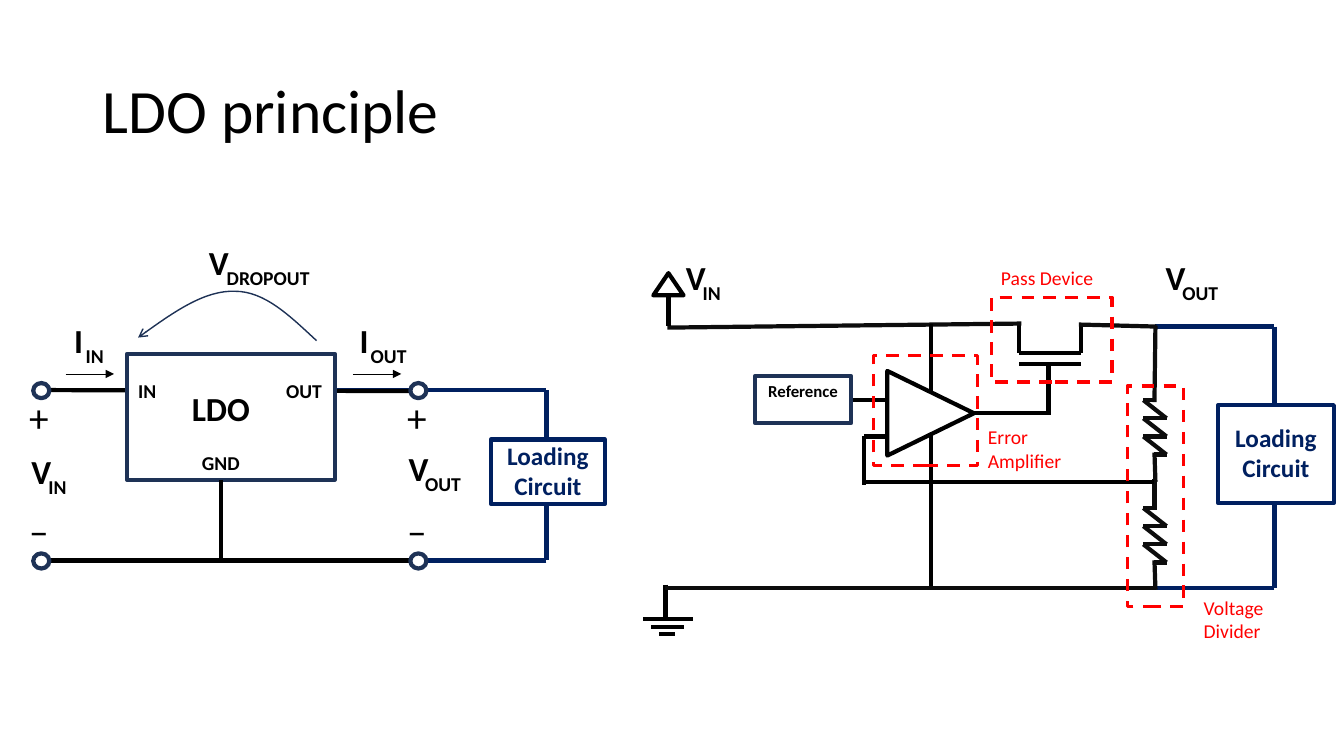
from lxml.etree import SubElement
from pptx import Presentation
from pptx.dml.color import RGBColor
from pptx.enum.dml import MSO_LINE as Dash
from pptx.enum.shapes import MSO_CONNECTOR as Wire, MSO_SHAPE as Form
from pptx.enum.text import MSO_ANCHOR as Anchor, PP_ALIGN as Align
from pptx.oxml.ns import qn
from pptx.util import Pt

PX = 9144
BLACK, INK, NAVY, STEEL, RED, WHITE = "000000", "0D0D0D", "002060", "1E3256", "FF0000", "FFFFFF"


def emu(*sizes):
    """Turn px lengths into EMU."""
    return [size * PX for size in sizes]


def paint(part, tone):
    """Give a font, fill or line a solid hex colour."""
    fill = part if hasattr(part, "solid") else part.fill
    fill.solid()
    fill.fore_color.rgb = RGBColor.from_string(tone)


def stroke(shape, tone, width, head=None):
    """Set the outline of a shape and its optional arrowhead."""
    paint(shape.line, tone)
    shape.line.width = Pt(width)
    if head:
        SubElement(shape.line._get_or_add_ln(), qn("a:tailEnd"), type=head)


def wire(slide, x1, y1, x2, y2, tone=BLACK, width=3, head=None):
    """Draw a straight line."""
    line = slide.shapes.add_connector(Wire.STRAIGHT, *emu(x1, y1, x2, y2))
    stroke(line, tone, width, head)
    SubElement(line._element.spPr, qn("a:effectLst"))


def wires(slide, rows, tone=BLACK):
    """Draw a list of lines in one colour."""
    for row in rows:
        wire(slide, *row, tone)


def block(slide, form, spot, tone, turn=0):
    """Draw a white shape with a thick outline."""
    shape = slide.shapes.add_shape(form, *emu(*spot))
    shape.shadow.inherit = False
    shape.rotation = turn
    paint(shape.fill, WHITE)
    stroke(shape, tone, 3)
    return shape


def frame(slide, *spot):
    """Draw a dashed red frame."""
    shape = block(slide, Form.RECTANGLE, spot, RED)
    shape.fill.background()
    shape.line.width = Pt(2.25)
    shape.line.dash_style = Dash.DASH


def label(slide, spot, text, size, bold=True, tone=BLACK, align=Align.CENTER):
    """Write a text box, with a line break at each newline."""
    body = slide.shapes.add_textbox(*emu(*spot)).text_frame
    body.word_wrap = True
    para = body.paragraphs[0]
    para.alignment = align
    for count, part in enumerate(text.split("\n")):
        if count:
            para.add_line_break()
        run = para.add_run()
        run.text = part
        run.font.name, run.font.size, run.font.bold = "Calibri", Pt(size), bold
        paint(run.font, tone)
    return body


def symbol(slide, x, y, main, sub, width):
    """Write a letter with its subscript."""
    label(slide, (x, y, 82, 50), main, 24)
    label(slide, (x + 37, y + 24, width, 34), sub, 14)


def load(slide, left, right, top, base, box, drop, height):
    """Draw the loading circuit and its loop."""
    wires(slide, [(right, top, right, base), (right, base, left, base), (right, top, left, top)], NAVY)
    block(slide, Form.RECTANGLE, box, NAVY)
    x, y, width, _ = box
    label(slide, (x, y + drop, width, height), "Loading\nCircuit", 18, tone=NAVY)


def zigzag(slide, y):
    """Draw a resistor with its lower lead."""
    wire(slide, 1134, y, 1146, y, INK)
    for low in range(y + 18, y + 55, 18):
        start = 1145 if low == y + 54 else 1134
        wires(slide, [(1134, low - 18, 1157, low), (start, low, 1157, low)], INK)
    wire(slide, 1145, y + 52, 1146, y + 81, INK)


def curve(slide, points):
    """Draw a curved arrow through cubic control points."""
    pen = slide.shapes.build_freeform(*points[0], scale=PX)
    pen.add_line_segments(points[1:], close=False)
    shape = pen.convert_to_shape()
    shape.shadow.inherit = False
    shape.fill.background()
    stroke(shape, STEEL, 1, "arrow")
    steps = list(shape._element.iter(qn("a:lnTo")))
    track = steps[0].getparent()
    for first in range(0, len(steps), 3):
        bend = SubElement(track, qn("a:cubicBezTo"))
        for step in steps[first:first + 3]:
            bend.append(step[0])
            track.remove(step)


def model(slide):
    """Draw the LDO block with its ports on the left."""
    load(slide, 293, 542, 387, 556, (487, 436, 113, 64), -4, 71)
    wires(slide, [(415, 388, 41, 387), (415, 556, 41, 556)])
    block(slide, Form.RECTANGLE, (126, 351, 206, 125), STEEL)
    wire(slide, 219, 476, 219, 556)
    for x in (33, 407):
        for y in (380, 549):
            block(slide, Form.OVAL, (x, y, 16, 15), STEEL)
    for x, y, width, text in ((178, 442, 82, "GND"), (273, 371, 57, "OUT"), (126, 371, 40, "IN")):
        label(slide, (x, y, width, 34), text, 14)
    label(slide, (178, 380, 82, 50), "LDO", 24)
    for x in (19, 394):
        for y, sign in ((385, "+"), (497, "–")):
            label(slide, (x, y, 36, 57), sign, 28, False, align=Align.LEFT)
    for x in (65, 350):
        wire(slide, x, 371, x + 48, 371, width=0.5, head="triangle")
    symbol(slide, 374, 439, "V", "OUT", 57)
    symbol(slide, 0, 442, "V", "IN", 40)
    symbol(slide, 320, 312, "I", "OUT", 57)
    symbol(slide, 37, 312, "I", "IN", 40)
    curve(slide, [(314, 338), (288, 314), (263, 289), (233, 289), (204, 288), (170, 311), (137, 335)])
    symbol(slide, 176, 235, "V", "DROPOUT", 106)


def inner(slide):
    """Draw the inner circuit on the right."""
    load(slide, 1146, 1264, 324, 583, (1208, 402, 115, 97), 12, 108)
    wire(slide, 660, 580, 660, 614)
    for y, left, right in ((614, 638, 687), (622, 646, 678), (629, 654, 669)):
        wire(slide, right, y, left, y)
    wires(slide, [(1042, 410, 963, 410), (1011, 361, 1072, 361), (1011, 350, 1072, 350),
                  (1072, 321, 1072, 350), (1011, 321, 1011, 350)])
    wires(slide, [(662, 325, 1013, 321), (1146, 323, 1145, 399)], INK)
    zigzag(slide, 397)
    wire(slide, 1145, 475, 1145, 506, INK)
    zigzag(slide, 504)
    wires(slide, [(1145, 478, 857, 478), (881, 433, 857, 433), (857, 481, 857, 433)])
    wire(slide, 1070, 322, 1147, 324, INK)
    wires(slide, [(923, 321, 923, 583), (663, 271, 663, 323)])
    block(slide, Form.ISOSCELES_TRIANGLE, (648, 271, 30, 22), BLACK)
    wire(slide, 889, 397, 843, 397)
    block(slide, Form.ISOSCELES_TRIANGLE, (881, 367, 84, 86), BLACK, 90)
    wire(slide, 1040, 410, 1040, 361)
    block(slide, Form.RECTANGLE, (749, 373, 95, 47), STEEL)
    label(slide, (749, 373, 95, 39), "Reference", 12)
    wire(slide, 660, 583, 1147, 583, INK)


def notes(slide):
    """Mark the parts of the inner circuit."""
    frame(slide, 983, 295, 120, 84)
    frame(slide, 866, 353, 104, 109)
    frame(slide, 1118, 383, 56, 219)
    for spot, text in (((983, 259, 120, 34), "Pass Device"),
                       ((970, 417, 100, 57), "Error Amplifier"),
                       ((1184, 586, 100, 57), "Voltage Divider")):
        label(slide, spot, text, 14, False, RED, Align.LEFT)
    symbol(slide, 649, 250, "V", "IN", 40)
    symbol(slide, 1125, 250, "V", "OUT", 57)


def main():
    """Build and save the slide."""
    deck = Presentation()
    deck.slide_width, deck.slide_height = emu(1333, 750)
    slide = deck.slides.add_slide(deck.slide_layouts[6])
    model(slide)
    inner(slide)
    title = label(slide, (92, 40, 1150, 145), "LDO principle", 44, False, align=Align.LEFT)
    title.vertical_anchor = Anchor.MIDDLE
    title.paragraphs[0].line_spacing = 0.9
    notes(slide)
    deck.save("out.pptx")


if __name__ == "__main__":
    main()
